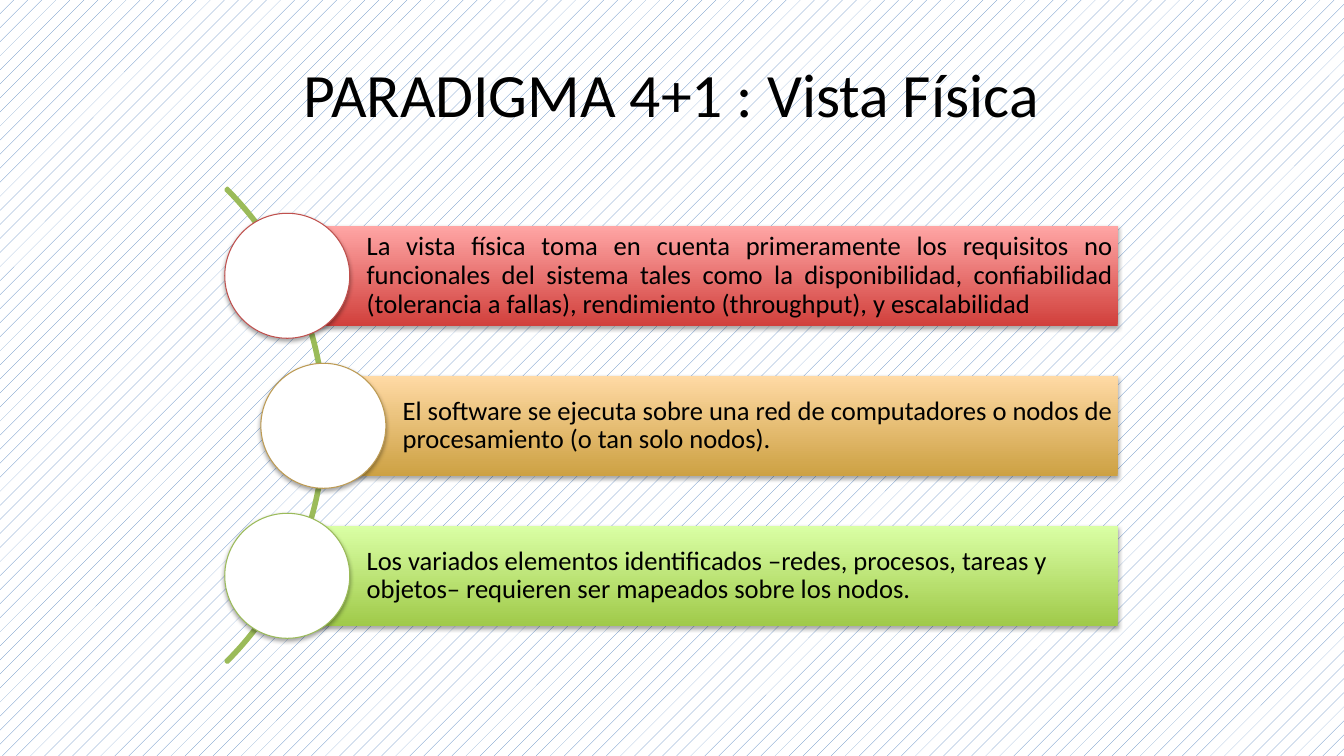
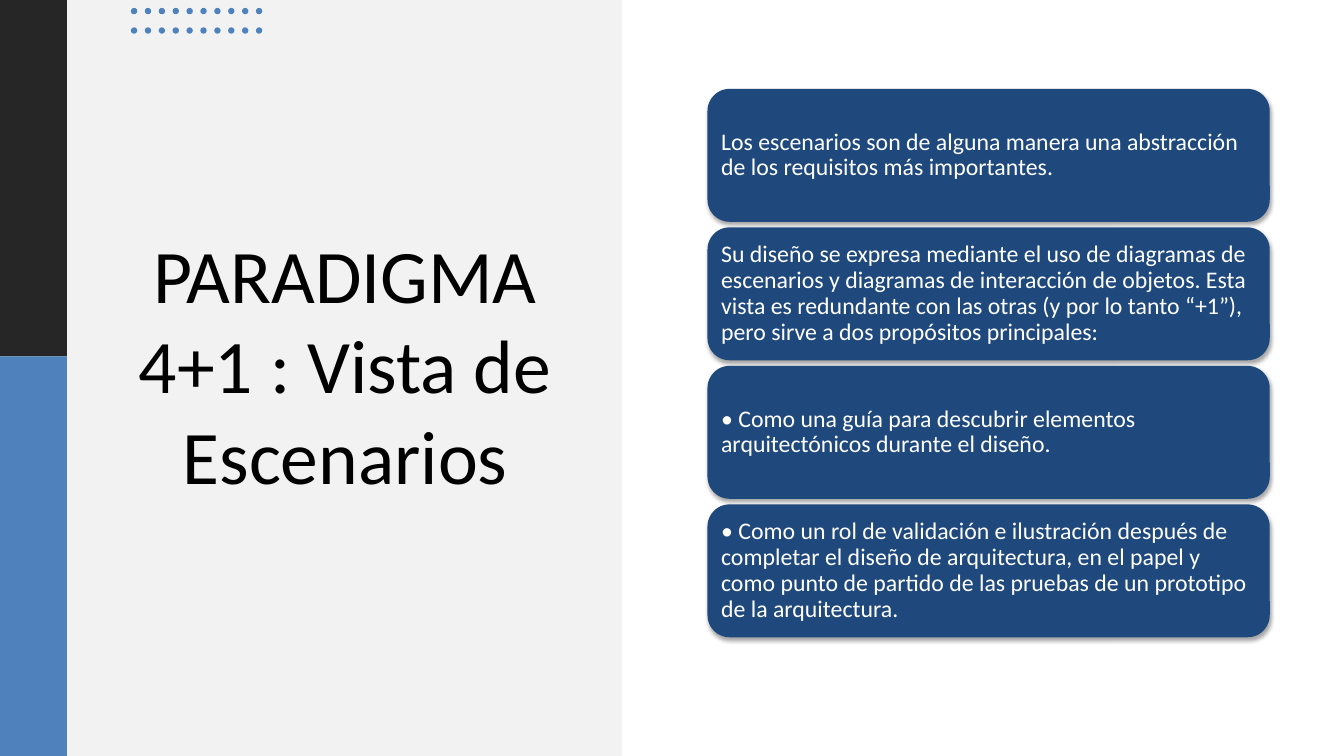
"""Builds two slides on the physical and scenario views of the 4+1 model."""
from dataclasses import dataclass
from itertools import product

from lxml.etree import SubElement
from pptx import Presentation
from pptx.dml.color import RGBColor
from pptx.enum.dml import MSO_PATTERN
from pptx.enum.shapes import MSO_SHAPE
from pptx.enum.text import MSO_ANCHOR, PP_ALIGN
from pptx.oxml.ns import qn
from pptx.presentation import Presentation as Deck
from pptx.shapes.autoshape import Shape
from pptx.slide import Slide
from pptx.util import Cm, Pt

FONT = "Calibri"
BLACK = RGBColor(0x00, 0x00, 0x00)
WHITE = RGBColor(0xFF, 0xFF, 0xFF)
DARK = RGBColor(0x26, 0x26, 0x26)
PALE = RGBColor(0xF2, 0xF2, 0xF2)
BLUE = RGBColor(0x4F, 0x81, 0xBD)
NAVY = RGBColor(0x1F, 0x49, 0x7D)
RED = RGBColor(0xC0, 0x50, 0x4D)
GOLD = RGBColor(0xBD, 0x9B, 0x53)
GREEN = RGBColor(0x9B, 0xBB, 0x59)


@dataclass(frozen=True)
class Box:
    """Place and size in centimetres."""
    left: float
    top: float
    width: float
    height: float


@dataclass(frozen=True)
class Item:
    """One bar of the curved list with the ring at its left end."""
    left: float
    low: RGBColor
    high: RGBColor
    ring: RGBColor
    align: PP_ALIGN
    text: str


ITEMS = [
    Item(7.24, RGBColor(0xD1, 0x40, 0x3C), RGBColor(0xFF, 0xA6, 0xA5), RED, PP_ALIGN.JUSTIFY,
         "La vista física toma en cuenta primeramente los requisitos no funcionales del sistema "
         "tales como la disponibilidad, confiabilidad (tolerancia a fallas), rendimiento "
         "(throughput), y escalabilidad"),
    Item(8.15, RGBColor(0xCD, 0xA1, 0x43), RGBColor(0xFF, 0xDA, 0xA5), GOLD, PP_ALIGN.LEFT,
         "El software se ejecuta sobre una red de computadores o nodos de procesamiento "
         "(o tan solo nodos)."),
    Item(7.24, RGBColor(0xA0, 0xCA, 0x4A), RGBColor(0xDA, 0xFF, 0xA5), GREEN, PP_ALIGN.LEFT,
         "Los variados elementos identificados –redes, procesos, tareas y objetos– requieren "
         "ser mapeados sobre los nodos."),
]
CARDS = [
    "Los escenarios son de alguna manera una abstracción de los requisitos más importantes.",
    "Su diseño se expresa mediante el uso de diagramas de escenarios y diagramas de "
    "interacción de objetos. Esta vista es redundante con las otras (y por lo tanto “+1”), "
    "pero sirve a dos propósitos principales:",
    "• Como una guía para descubrir elementos arquitectónicos durante el diseño.",
    "• Como un rol de validación e ilustración después de completar el diseño de arquitectura, "
    "en el papel y como punto de partido de las pruebas de un prototipo de la arquitectura.",
]


def write(shape: Shape, text: str, *, size: float, color: RGBColor = BLACK,
          align: PP_ALIGN = PP_ALIGN.LEFT, space: float = 1.0,
          pad: float = 0.25, inset: float | None = None) -> None:
    """Put formatted text in a shape; inset overrides the left padding."""
    frame = shape.text_frame
    frame.word_wrap = True
    frame.vertical_anchor = MSO_ANCHOR.MIDDLE
    frame.margin_left = Cm(pad if inset is None else inset)
    frame.margin_right = Cm(pad)
    frame.margin_top = frame.margin_bottom = Cm(min(pad, 0.18))
    frame.text = text
    line = frame.paragraphs[0]
    line.alignment = align
    line.line_spacing = space
    font = line.runs[0].font
    font.name, font.size = FONT, Pt(size)
    font.color.rgb = color


def draw(slide: Slide, kind: MSO_SHAPE, box: Box, *, fill: RGBColor | None = None,
         line: RGBColor | None = None, weight: float = 0.75, shade: bool = False) -> Shape:
    """Add a preset shape with its fill, outline and optional soft shadow."""
    shape = slide.shapes.add_shape(
        kind, Cm(box.left), Cm(box.top), Cm(box.width), Cm(box.height))
    if fill is None:
        shape.fill.background()
    else:
        shape.fill.solid()
        shape.fill.fore_color.rgb = fill
    if line is None:
        shape.line.fill.background()
    else:
        shape.line.color.rgb = line
        shape.line.width = Pt(weight)
    shape.shadow.inherit = False
    if shade:
        glow = SubElement(shape.element.spPr.find(qn("a:effectLst")), qn("a:outerShdw"),
                          blurRad="40000", dist="23000", dir="5400000", rotWithShape="0")
        tint = SubElement(glow, qn("a:srgbClr"), val="000000")
        SubElement(tint, qn("a:alpha"), val="35000")
    return shape


def blend(shape: Shape, low: RGBColor, high: RGBColor) -> None:
    """Fill a shape with a gradient rising from low to high."""
    shape.fill.gradient()
    shape.fill.gradient_angle = 90
    for stop, color, spot in zip(shape.fill.gradient_stops, (low, high), (0, 1)):
        stop.color.rgb = color
        stop.position = spot


def start(deck: Deck) -> Slide:
    """Add a slide with the title-only layout."""
    return deck.slides.add_slide(deck.slide_layouts[5])


def head(slide: Slide, text: str, box: Box, size: float) -> None:
    """Place the title in front of what is drawn so far."""
    title = slide.shapes.title
    title.left, title.top = Cm(box.left), Cm(box.top)
    title.width, title.height = Cm(box.width), Cm(box.height)
    write(title, text, size=size, align=PP_ALIGN.CENTER)
    title.element.getparent().append(title.element)


def curve(deck: Deck) -> None:
    """Build the physical view slide."""
    slide = start(deck)
    back = slide.background.fill
    back.patterned()
    back.pattern = MSO_PATTERN.PERCENT_5
    back.fore_color.rgb, back.back_color.rgb = BLUE, WHITE
    head(slide, "PARADIGMA 4+1 : Vista Física", Box(1.69, 0.76, 30.48, 3.18), 44)

    arc = draw(slide, MSO_SHAPE.BLOCK_ARC, Box(-8.71, 2.26, 16.92, 16.92),
               line=GREEN, weight=2)
    for place, value in enumerate((189, 27, 0.004)):
        arc.adjustments[place] = value

    right, high, ring = 28.17, 2.52, 3.15
    for row, item in enumerate(ITEMS):
        top = 5.69 + row * 3.78
        bar = draw(slide, MSO_SHAPE.RECTANGLE,
                   Box(item.left, top, right - item.left, high), shade=True)
        blend(bar, item.low, item.high)
        write(bar, item.text, size=19, align=item.align, space=0.9, pad=0.13, inset=2.0)
        draw(slide, MSO_SHAPE.OVAL,
             Box(item.left - ring / 2, top + (high - ring) / 2, ring, ring),
             fill=WHITE, line=item.ring, shade=True)


def stack(deck: Deck) -> None:
    """Build the scenario view slide."""
    slide = start(deck)
    side, split, tall = 1.69, 8.98, 19.05
    for box, color in ((Box(0, 0, side, split), DARK),
                       (Box(0, split, side, tall - split), BLUE),
                       (Box(side, 0, 13.99, tall), PALE)):
        draw(slide, MSO_SHAPE.RECTANGLE, box, fill=color)
    head(slide, "PARADIGMA 4+1 : Vista de Escenarios", Box(3.25, 3.71, 10.9, 10.9), 54)
    for row, col in product(range(2), range(10)):
        draw(slide, MSO_SHAPE.OVAL,
             Box(3.3 + col * 0.35, 0.2 + row * 0.49, 0.16, 0.16), fill=BLUE)
    for row, text in enumerate(CARDS):
        card = draw(slide, MSO_SHAPE.ROUNDED_RECTANGLE,
                    Box(17.83, 2.24 + row * 3.49, 14.17, 3.35), fill=NAVY, shade=True)
        write(card, text, size=17, color=WHITE, space=0.9, pad=0.18)


def main() -> None:
    """Build and save the deck."""
    deck = Presentation()
    deck.slide_width, deck.slide_height = Cm(33.87), Cm(19.05)
    curve(deck)
    stack(deck)
    deck.save("out.pptx")


if __name__ == "__main__":
    main()
